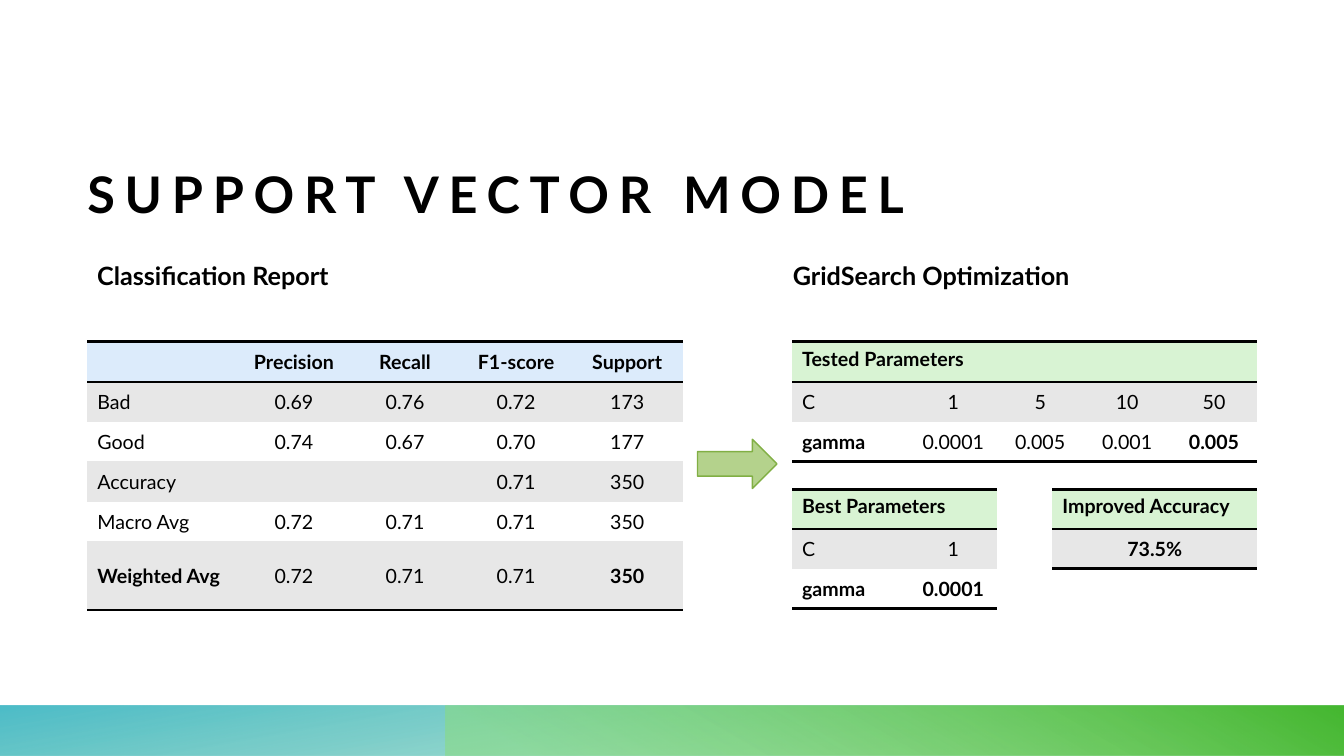
from dataclasses import dataclass

from lxml.etree import SubElement
from pptx import Presentation
from pptx.dml.color import RGBColor
from pptx.enum.shapes import MSO_SHAPE
from pptx.enum.text import MSO_ANCHOR, MSO_AUTO_SIZE, PP_ALIGN
from pptx.oxml import parse_xml
from pptx.oxml.ns import nsdecls, qn
from pptx.util import Cm, Pt


@dataclass(frozen=True)
class Theme:
    font: str = "Lato"
    ink: str = "000000"
    blue_header: str = "DCEBFB"
    green_header: str = "D8F3D3"
    band: str = "E7E7E7"
    plain: str = "FFFFFF"
    arrow: str = "B4D28C"
    arrow_line: str = "81AF44"
    title_size: int = 36
    heading_size: int = 18
    table_size: int = 14
    rule: int = 2
    no_style: str = "{2D5ABB26-0587-4C30-8999-92F81FD0307C}"


@dataclass(frozen=True)
class Bar:
    left: float
    width: float
    rotation: int
    angle: int
    stops: tuple[tuple[int, str, int], ...]  # position %, colour, opacity %


@dataclass(frozen=True)
class Heading:
    text: str
    left: float
    width: float


@dataclass(frozen=True)
class Grid:
    left: float
    top: float
    widths: tuple[float, ...]
    rows: tuple[tuple[str, ...], ...]
    header_fill: str
    header_anchor: MSO_ANCHOR = MSO_ANCHOR.TOP
    last_height: float = 1.0
    header_span: int = 1


THEME = Theme()
SLIDE_W, SLIDE_H = 33.87, 19.05
BAR_H = 1.27
ROW_H = 1.0
LEFT, RIGHT = 2.2, 19.96
UPPER, LOWER = 8.61, 12.33
LABEL_W, VALUE_W = 2.97, 2.19

BARS = (
    Bar(0, SLIDE_W, 180, 100, ((14, "34B48B", 28), (100, "2EB1BF", 85))),
    Bar(11.22, SLIDE_W - 11.22, 0, 240, ((9, "8BDC7C", 55), (99, "46B831", 100))),
)

HEADINGS = (
    Heading("Classification Report", LEFT, 8.6),
    Heading("GridSearch Optimization", 19.73, 14.0),
)

GRIDS = (
    Grid(LEFT, UPPER, (3.81,) + (2.8,) * 4, (
        ("", "Precision", "Recall", "F1-score", "Support"),
        ("Bad", "0.69", "0.76", "0.72", "173"),
        ("Good", "0.74", "0.67", "0.70", "177"),
        ("Accuracy", "", "", "0.71", "350"),
        ("Macro Avg", "0.72", "0.71", "0.71", "350"),
        ("Weighted Avg", "0.72", "0.71", "0.71", "350"),
    ), THEME.blue_header, MSO_ANCHOR.MIDDLE, last_height=1.73),
    Grid(RIGHT, UPPER, (LABEL_W,) + (VALUE_W,) * 4, (
        ("Tested Parameters", "", "", "", ""),
        ("C", "1", "5", "10", "50"),
        ("gamma", "0.0001", "0.005", "0.001", "0.005"),
    ), THEME.green_header, header_span=2),
    Grid(RIGHT, LOWER, (LABEL_W, VALUE_W), (
        ("Best Parameters", ""),
        ("C", "1"),
        ("gamma", "0.0001"),
    ), THEME.green_header, header_span=2),
    Grid(26.52, LOWER, (LABEL_W + VALUE_W,), (
        ("Improved Accuracy",),
        ("73.5%",),
    ), THEME.green_header),
)


def write(tf, text: str, size: int, bold: bool = True, align=PP_ALIGN.LEFT):
    p = tf.paragraphs[0]
    p.alignment = align
    r = p.add_run()
    r.text = text
    for name, value in {"name": THEME.font, "size": Pt(size), "bold": bold}.items():
        setattr(r.font, name, value)
    r.font.color.rgb = RGBColor.from_string(THEME.ink)
    return r


def add_bar(s, bar: Bar) -> None:
    sp = s.shapes.add_shape(MSO_SHAPE.RECTANGLE, Cm(bar.left), Cm(SLIDE_H - BAR_H),
                            Cm(bar.width), Cm(BAR_H))
    sp.shadow.inherit = False
    sp.line.fill.background()
    sp.rotation = bar.rotation
    props = sp._element.spPr
    props.find(qn("a:xfrm")).set("flipH", "1")
    stops = "".join(
        f'<a:gs pos="{pos * 1000}"><a:srgbClr val="{color}">'
        f'<a:alpha val="{opacity * 1000}"/></a:srgbClr></a:gs>'
        for pos, color, opacity in bar.stops)
    props.find(qn("a:prstGeom")).addnext(parse_xml(
        f'<a:gradFill {nsdecls("a")} rotWithShape="1"><a:gsLst>{stops}</a:gsLst>'
        f'<a:lin ang="{bar.angle * 60000}" scaled="0"/></a:gradFill>'))


def add_title(s, text: str) -> None:
    title = s.shapes.title
    for name, value in {"left": LEFT, "top": 2.2, "width": 28.45, "height": 3.43}.items():
        setattr(title, name, Cm(value))
    tf = title.text_frame
    for side in ("left", "top", "right", "bottom"):
        setattr(tf, f"margin_{side}", 0)
    tf.vertical_anchor = MSO_ANCHOR.BOTTOM
    tf.auto_size = MSO_AUTO_SIZE.NONE
    r = write(tf, text, THEME.title_size)
    r._r.get_or_add_rPr().set("spc", "700")


def add_heading(s, heading: Heading) -> None:
    sp = s.shapes.add_textbox(Cm(heading.left), Cm(6.43), Cm(heading.width), Cm(1.03))
    sp.text_frame.word_wrap = True
    write(sp.text_frame, heading.text, THEME.heading_size)


def add_arrow(s) -> None:
    sp = s.shapes.add_shape(MSO_SHAPE.RIGHT_ARROW, Cm(17.58), Cm(11.07), Cm(2), Cm(1.24))
    sp.shadow.inherit = False
    sp.fill.solid()
    sp.fill.fore_color.rgb = RGBColor.from_string(THEME.arrow)
    sp.line.color.rgb = RGBColor.from_string(THEME.arrow_line)
    sp.line.width = Pt(1)


def rule_cell(cell, edge: str) -> None:
    """Draw a rule on one edge; call before the cell is filled."""
    ln = SubElement(cell._tc.get_or_add_tcPr(), qn(f"a:{edge}"), w=str(Pt(THEME.rule)))
    fill = SubElement(ln, qn("a:solidFill"))
    SubElement(fill, qn("a:srgbClr"), val=THEME.ink)


def add_grid(s, grid: Grid) -> None:
    last_row, last_col = len(grid.rows) - 1, len(grid.widths) - 1
    heights = [ROW_H] * last_row + [grid.last_height]
    frame = s.shapes.add_table(last_row + 1, last_col + 1, Cm(grid.left), Cm(grid.top),
                               Cm(sum(grid.widths)), Cm(sum(heights)))
    table = frame.table
    table.first_row = table.horz_banding = False
    table._tbl.tblPr.find(qn("a:tableStyleId")).text = THEME.no_style
    for column, width in zip(table.columns, grid.widths):
        column.width = Cm(width)
    for i, (row, height) in enumerate(zip(grid.rows, heights)):
        table.rows[i].height = Cm(height)
        header, last = i == 0, i == last_row
        fill = grid.header_fill if header else THEME.band if i % 2 else THEME.plain
        for j, text in enumerate(row):
            cell = table.cell(i, j)
            if header:
                rule_cell(cell, "lnT")
            if header or last:
                rule_cell(cell, "lnB")
            cell.fill.solid()
            cell.fill.fore_color.rgb = RGBColor.from_string(fill)
            cell.vertical_anchor = grid.header_anchor if header else MSO_ANCHOR.MIDDLE
            is_label = j == 0 and (header or last_col > 0)
            write(cell.text_frame, text, THEME.table_size,
                  header or (last and j in (0, last_col)),
                  PP_ALIGN.LEFT if is_label else PP_ALIGN.CENTER)
    if grid.header_span > 1:
        table.cell(0, 0).merge(table.cell(0, grid.header_span - 1))


def main() -> None:
    prs = Presentation()
    prs.slide_width, prs.slide_height = Cm(SLIDE_W), Cm(SLIDE_H)
    s = prs.slides.add_slide(prs.slide_layouts[5])
    for bar in BARS:
        add_bar(s, bar)
    add_title(s, "SUPPORT VECTOR MODEL")
    for heading in HEADINGS:
        add_heading(s, heading)
    add_arrow(s)
    for grid in GRIDS:
        add_grid(s, grid)
    prs.save("out.pptx")


if __name__ == "__main__":
    main()
